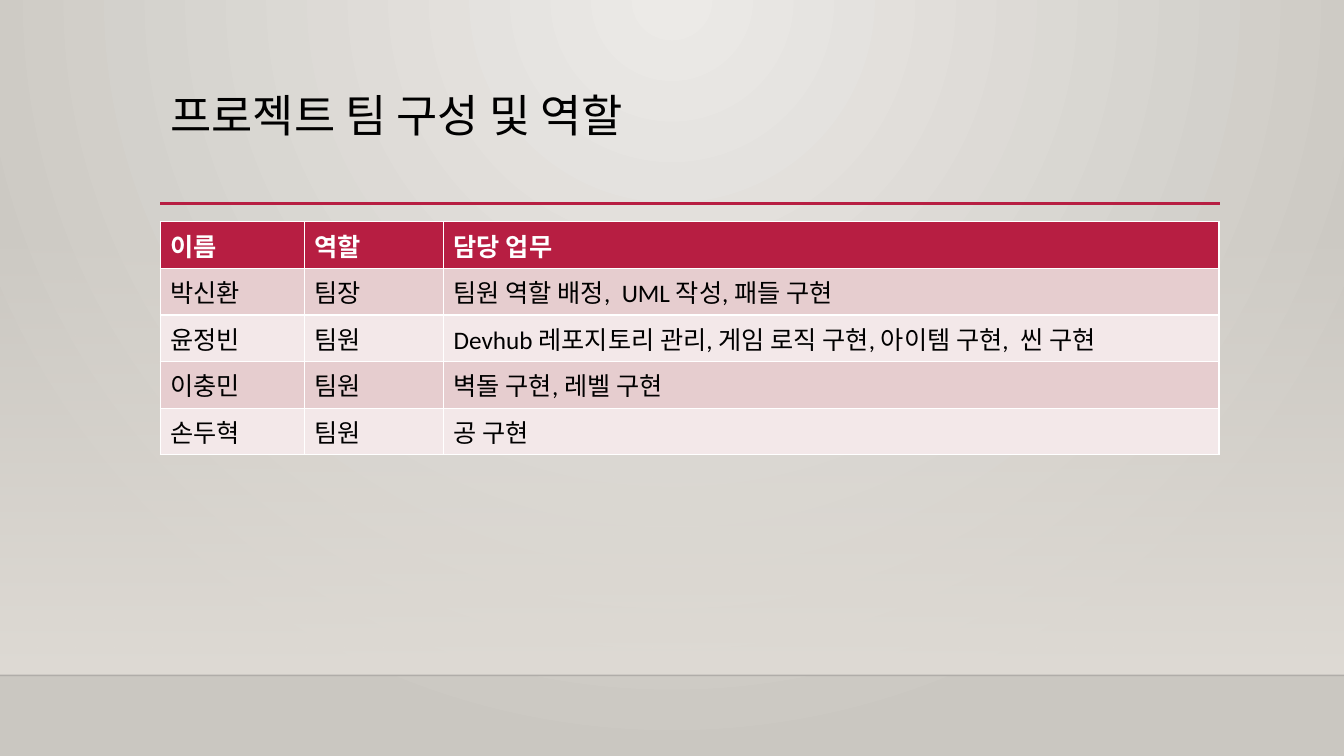
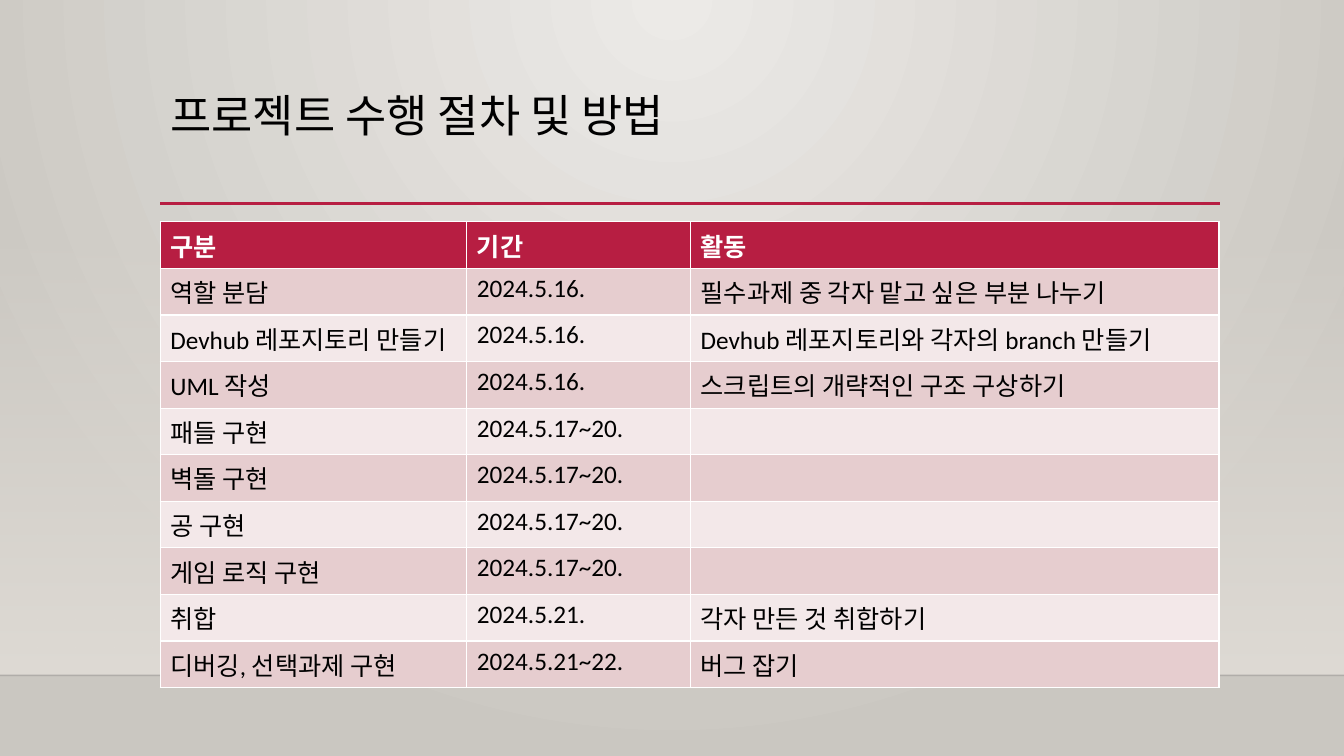
"""Build two project slides: team roles and work schedule."""
from lxml.etree import SubElement
from pptx import Presentation
from pptx.dml.color import RGBColor
from pptx.enum.shapes import MSO_CONNECTOR, MSO_SHAPE
from pptx.enum.text import MSO_ANCHOR, MSO_AUTO_SIZE, PP_ALIGN
from pptx.oxml.ns import qn
from pptx.util import Inches, Pt

FONT = "Calibri"
ACCENT = "B71E42"
WHITE = "FFFFFF"
BLACK = "000000"
BANDS = ["F3E8E9", "E6CDCF"]
LEFT, CONTENT_WIDTH = 1.59, 10.5
TABLE_TOP, ROW_HEIGHT = 2.2, 0.41
RULE_TOP, FLOOR_TOP, WALL_TOP = 2.02, 6.7, 2.21

SLIDES = [
    ("프로젝트 팀 구성 및 역할", [1.43, 1.38, 7.69], [
        ("이름", "역할", "담당 업무"),
        ("박신환", "팀장", "팀원 역할 배정,  UML 작성, 패들 구현"),
        ("윤정빈", "팀원", "Devhub 레포지토리 관리, 게임 로직 구현, 아이템 구현,  씬 구현"),
        ("이충민", "팀원", "벽돌 구현, 레벨 구현"),
        ("손두혁", "팀원", "공 구현"),
    ]),
    ("프로젝트 수행 절차 및 방법", [3.04, 2.22, 5.24], [
        ("구분", "기간", "활동"),
        ("역할 분담", "2024.5.16.", "필수과제 중 각자 맡고 싶은 부분 나누기"),
        ("Devhub 레포지토리 만들기", "2024.5.16.", "Devhub 레포지토리와 각자의 branch 만들기"),
        ("UML 작성", "2024.5.16.", "스크립트의 개략적인 구조 구상하기"),
        ("패들 구현", "2024.5.17~20.", ""),
        ("벽돌 구현", "2024.5.17~20.", ""),
        ("공 구현", "2024.5.17~20.", ""),
        ("게임 로직 구현", "2024.5.17~20.", ""),
        ("취합", "2024.5.21.", "각자 만든 것 취합하기"),
        ("디버깅, 선택과제 구현", "2024.5.21~22.", "버그 잡기"),
    ]),
]


def color(value):
    return RGBColor.from_string(value)


def set_font(paragraph, size, value, bold=False):
    paragraph.font.name = FONT
    paragraph.font.size = Pt(size)
    paragraph.font.bold = bold
    paragraph.font.color.rgb = color(value)


presentation = Presentation()
presentation.slide_width = Inches(13.33)
presentation.slide_height = Inches(7.5)
layout = presentation.slide_layouts.get_by_name("Title Only")

background = layout.background.fill
background.gradient()
for stop, value in zip(background.gradient_stops, ["ECEAE7", "CAC7C1"]):
    stop.color.rgb = color(value)
linear = layout.element.find(".//" + qn("a:lin"))
gradient = linear.getparent()
gradient.remove(linear)
radial = SubElement(gradient, qn("a:path"), path="circle")
SubElement(radial, qn("a:fillToRect"), l="43000", t="0", r="43000", b="100000")

layout_title = layout.placeholders[0]
layout_title.left, layout_title.top = Inches(LEFT), Inches(0.88)
layout_title.width, layout_title.height = Inches(CONTENT_WIDTH), Inches(1.15)

for title_text, column_widths, rows in SLIDES:
    slide = presentation.slides.add_slide(layout)
    title_frame = slide.shapes.title.text_frame
    title_frame.text = title_text
    title_frame.word_wrap = True
    title_frame.auto_size = MSO_AUTO_SIZE.NONE
    title_frame.vertical_anchor = MSO_ANCHOR.TOP
    paragraph = title_frame.paragraphs[0]
    paragraph.alignment = PP_ALIGN.LEFT
    paragraph.line_spacing = 0.9
    set_font(paragraph, 32, BLACK)

    table = slide.shapes.add_table(
        len(rows), len(column_widths), Inches(LEFT), Inches(TABLE_TOP),
        Inches(CONTENT_WIDTH), Inches(ROW_HEIGHT * len(rows))).table
    for column, width in zip(table.columns, column_widths):
        column.width = Inches(width)
    for row_index, row in enumerate(rows):
        header = row_index == 0
        for column_index, text in enumerate(row):
            cell = table.cell(row_index, column_index)
            cell.text = text
            cell.fill.solid()
            cell.fill.fore_color.rgb = color(ACCENT if header else BANDS[row_index % 2])
            set_font(cell.text_frame.paragraphs[0], 18, WHITE if header else BLACK, header)

wall = slide.shapes.add_shape(
    MSO_SHAPE.RECTANGLE, 0, Inches(WALL_TOP),
    presentation.slide_width, Inches(FLOOR_TOP - WALL_TOP))
wall.shadow.inherit = False
wall.line.fill.background()
wall.fill.gradient()
wall.fill.gradient_angle = 270
for stop in wall.fill.gradient_stops:
    stop.color.rgb = color("DFDBD5")
SubElement(wall.element.find(".//" + qn("a:srgbClr")), qn("a:alpha"), val="0")

decorations = [wall]
for start, end, top, value, weight, opacity in [
    (0, 13.33, FLOOR_TOP, "000001", 1, 20),
    (LEFT, 12.1, RULE_TOP, ACCENT, 2.5, 100),
]:
    line = slide.shapes.add_connector(
        MSO_CONNECTOR.STRAIGHT, Inches(start), Inches(top), Inches(end), Inches(top))
    line.line.color.rgb = color(value)
    line.line.width = Pt(weight)
    SubElement(line.element.find(".//" + qn("a:srgbClr")), qn("a:alpha"), val=str(opacity * 1000))
    SubElement(line.element.spPr, qn("a:effectLst"))
    decorations.append(line)

for index, shape in enumerate(decorations):
    shape.element.find(".//" + qn("p:cNvPr")).set("id", str(20 + index))
    layout.shapes.element.insert(2 + index, shape.element)

presentation.save("out.pptx")
